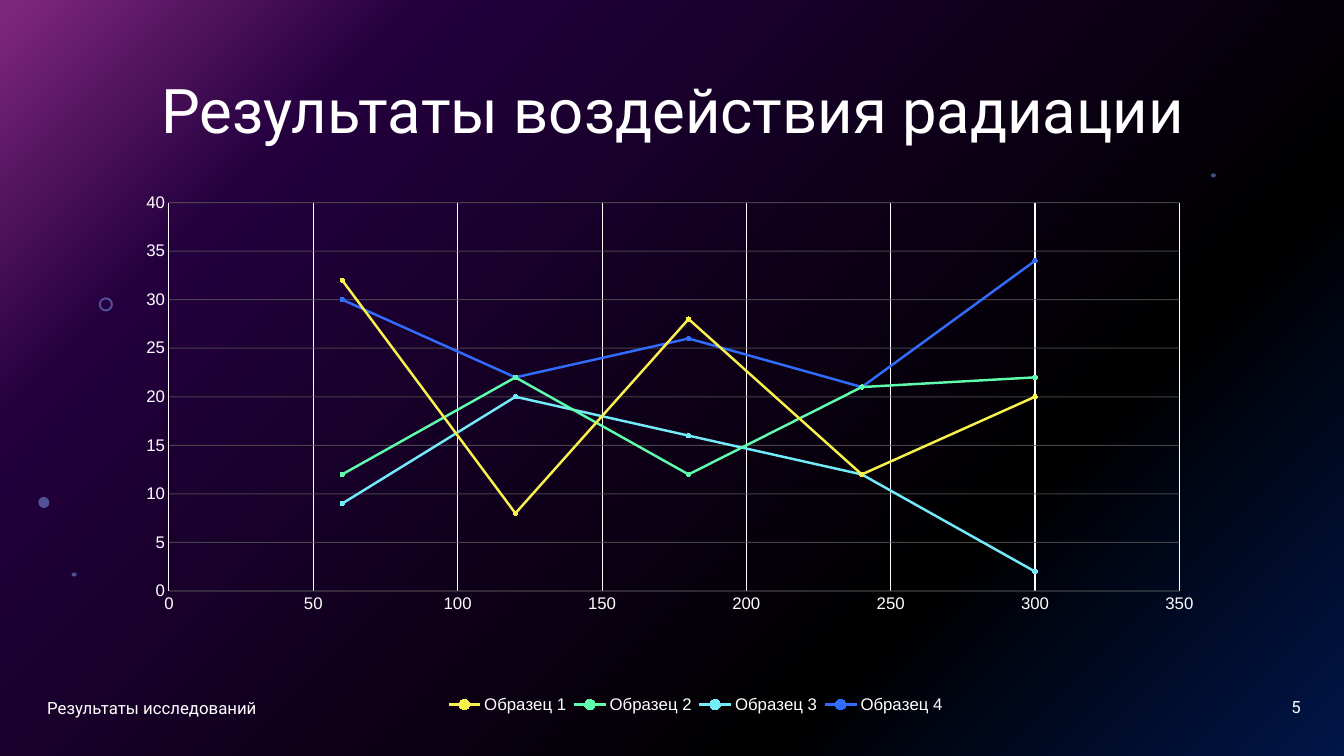
from lxml import etree
from pptx import Presentation
from pptx.chart.data import XyChartData
from pptx.dml.color import RGBColor
from pptx.enum.chart import XL_CHART_TYPE as ChartType, XL_LEGEND_POSITION as LegendPosition
from pptx.enum.chart import XL_MARKER_STYLE as MarkerStyle, XL_TICK_MARK as TickMark
from pptx.enum.shapes import MSO_SHAPE as Preset
from pptx.enum.text import MSO_ANCHOR as Anchor, PP_ALIGN as Align
from pptx.oxml import parse_xml
from pptx.oxml.ns import nsdecls, qn
from pptx.util import Inches, Pt

TITLE = "Результаты воздействия радиации"
FOOTER = "Результаты исследований"
PAGE = "5"
DOSES = [60, 120, 180, 240, 300]
SAMPLES = [
    ("Образец 1", [32, 8, 28, 12, 20], "FAF24C", "FCF794"),
    ("Образец 2", [12, 22, 12, 21, 22], "5EFCAC", "9EFDCD"),
    ("Образец 3", [9, 20, 16, 12, 2], "73EBF9", "ABF3FB"),
    ("Образец 4", [30, 22, 26, 21, 34], "316CFC", "83A7FD"),
]
STARS = [
    (Preset.DONUT, 0.98, 2.95, 0.14, 0.14),
    (Preset.OVAL, 0.38, 4.93, 0.11, 0.11),
    (Preset.OVAL, 0.71, 5.68, 0.05, 0.04),
    (Preset.OVAL, 12.01, 1.72, 0.05, 0.04),
]
WIDTH, HEIGHT = 13.33, 7.5
PLOT_BOX = (0.065, 0.03, 0.873, 0.681)
LEGEND_BOX = (0.3, 0.88, 0.44, 0.06)
THEME = {
    "text": "FFFFFF", "veil": "000000", "star": "83A7FD", "grid": "595959",
    "gradient": [(0, "022D94"), (28, "000000"), (80, "4A027F"), (99, "FC4EFB")],
    "font": "Roboto", "chart_font": "Arial", "title_size": 44, "small_size": 12,
}


def color(name):
    return RGBColor.from_string(THEME.get(name, name))


def set_alpha(element, percent):
    for rgb in element.iter(qn("a:srgbClr")):
        etree.SubElement(rgb, qn("a:alpha")).set("val", str(percent * 1000))


def style_font(font, size, name):
    font.size = Pt(size)
    font.name = name
    font.color.rgb = color("text")


def paint_background(slide):
    slide.background.fill.solid()
    properties = slide.element.find(".//" + qn("p:bgPr"))
    stops = "".join(
        f'<a:gs pos="{position * 1000}"><a:srgbClr val="{rgb}"/></a:gs>'
        for position, rgb in THEME["gradient"]
    )
    properties.replace(properties[0], parse_xml(
        f'<a:gradFill {nsdecls("a")} rotWithShape="1"><a:gsLst>{stops}</a:gsLst>'
        '<a:path path="circle"><a:fillToRect l="100000" t="100000"/></a:path></a:gradFill>'
    ))


def add_tinted(slide, preset, left, top, width, height, fill, alpha):
    shape = slide.shapes.add_shape(preset, Inches(left), Inches(top), Inches(width), Inches(height))
    shape.shadow.inherit = False
    shape.fill.solid()
    shape.fill.fore_color.rgb = color(fill)
    shape.line.fill.background()
    set_alpha(shape.element.spPr, alpha)
    return shape


def fill_text(shape, text, size, align):
    frame = shape.text_frame
    frame.text = text
    frame.word_wrap = True
    frame.vertical_anchor = Anchor.MIDDLE
    paragraph = frame.paragraphs[0]
    paragraph.alignment = align
    style_font(paragraph.runs[0].font, size, THEME["font"])
    return paragraph


def make_layout(box, inner=False):
    target = '<c:layoutTarget val="inner"/>' if inner else ""
    modes = '<c:xMode val="edge"/><c:yMode val="edge"/>'
    sizes = "".join(f'<c:{key} val="{value}"/>' for key, value in zip("xywh", box))
    return parse_xml(
        f'<c:layout {nsdecls("c")}><c:manualLayout>{target}{modes}{sizes}</c:manualLayout></c:layout>'
    )


def style_axis(axis, maximum, step, grid):
    axis.minimum_scale, axis.maximum_scale, axis.major_unit = 0, maximum, step
    axis.major_tick_mark = axis.minor_tick_mark = TickMark.NONE
    axis.has_major_gridlines = True
    line = axis.major_gridlines.format.line
    line.color.rgb = color(grid)
    line.width = Pt(0.75)
    style_font(axis.tick_labels.font, THEME["small_size"], THEME["chart_font"])


def add_results_chart(slide):
    data = XyChartData()
    for name, values, _, _ in SAMPLES:
        series = data.add_series(name)
        for dose, value in zip(DOSES, values):
            series.add_data_point(dose, value)
    chart = slide.shapes.add_chart(
        ChartType.XY_SCATTER_SMOOTH, Inches(0.93), Inches(1.84), Inches(11.48), Inches(5.66), data
    ).chart
    chart.has_title = False
    style_font(chart.font, 10, THEME["chart_font"])
    plot = chart.plots[0]
    plot.vary_by_categories = False
    for series, (_, _, line_color, marker_color) in zip(plot.series, SAMPLES):
        series.smooth = True
        series.format.line.color.rgb = color(line_color)
        series.format.line.width = Pt(1.75)
        series.marker.style = MarkerStyle.CIRCLE
        series.marker.size = 3
        series.marker.format.fill.solid()
        series.marker.format.fill.fore_color.rgb = color(marker_color)
        series.marker.format.line.fill.background()

    dose_axis, value_axis = chart.category_axis, chart.value_axis
    style_axis(dose_axis, 350, 50, "text")
    dose_axis.format.line.fill.background()
    style_axis(value_axis, 40, 5, "grid")
    set_alpha(value_axis.major_gridlines.element.find(qn("c:majorGridlines")), 75)
    value_axis.format.line.color.rgb = color("text")
    value_axis.format.line.width = Pt(0.75)

    chart.has_legend = True
    chart.legend.position = LegendPosition.TOP
    chart.legend.include_in_layout = False
    style_font(chart.legend.font, THEME["small_size"], THEME["chart_font"])
    root = plot.series[0].format.line.fill and chart.element
    for layout in list(root.iter(qn("c:layout"))):
        layout.getparent().remove(layout)
    root.find(".//" + qn("c:plotArea")).insert(0, make_layout(PLOT_BOX, inner=True))
    root.find(".//" + qn("c:legendPos")).addnext(make_layout(LEGEND_BOX))


def main():
    presentation = Presentation()
    presentation.slide_width, presentation.slide_height = Inches(WIDTH), Inches(HEIGHT)
    slide = presentation.slides.add_slide(presentation.slide_layouts[5])
    paint_background(slide)
    add_tinted(slide, Preset.RECTANGLE, 0, 0, WIDTH, HEIGHT, "veil", 50)
    for star in STARS:
        shape = add_tinted(slide, *star, "star", 49)
        if star[0] == Preset.DONUT:
            shape.adjustments[0] = 0.14
    add_results_chart(slide)

    title = slide.shapes.title
    title.left, title.top, title.width, title.height = map(Inches, (0.93, 0.4, 11.5, 1.45))
    fill_text(title, TITLE, THEME["title_size"], Align.CENTER).line_spacing = 0.9
    title.element.getparent().append(title.element)
    for text, left, top, width, align in (
        (FOOTER, 0.37, 6.82, 4.5, Align.LEFT),
        (PAGE, 10, 6.81, 3, Align.RIGHT),
    ):
        box = slide.shapes.add_textbox(Inches(left), Inches(top), Inches(width), Inches(0.4))
        fill_text(box, text, THEME["small_size"], align)
    presentation.save("out.pptx")


if __name__ == "__main__":
    main()
